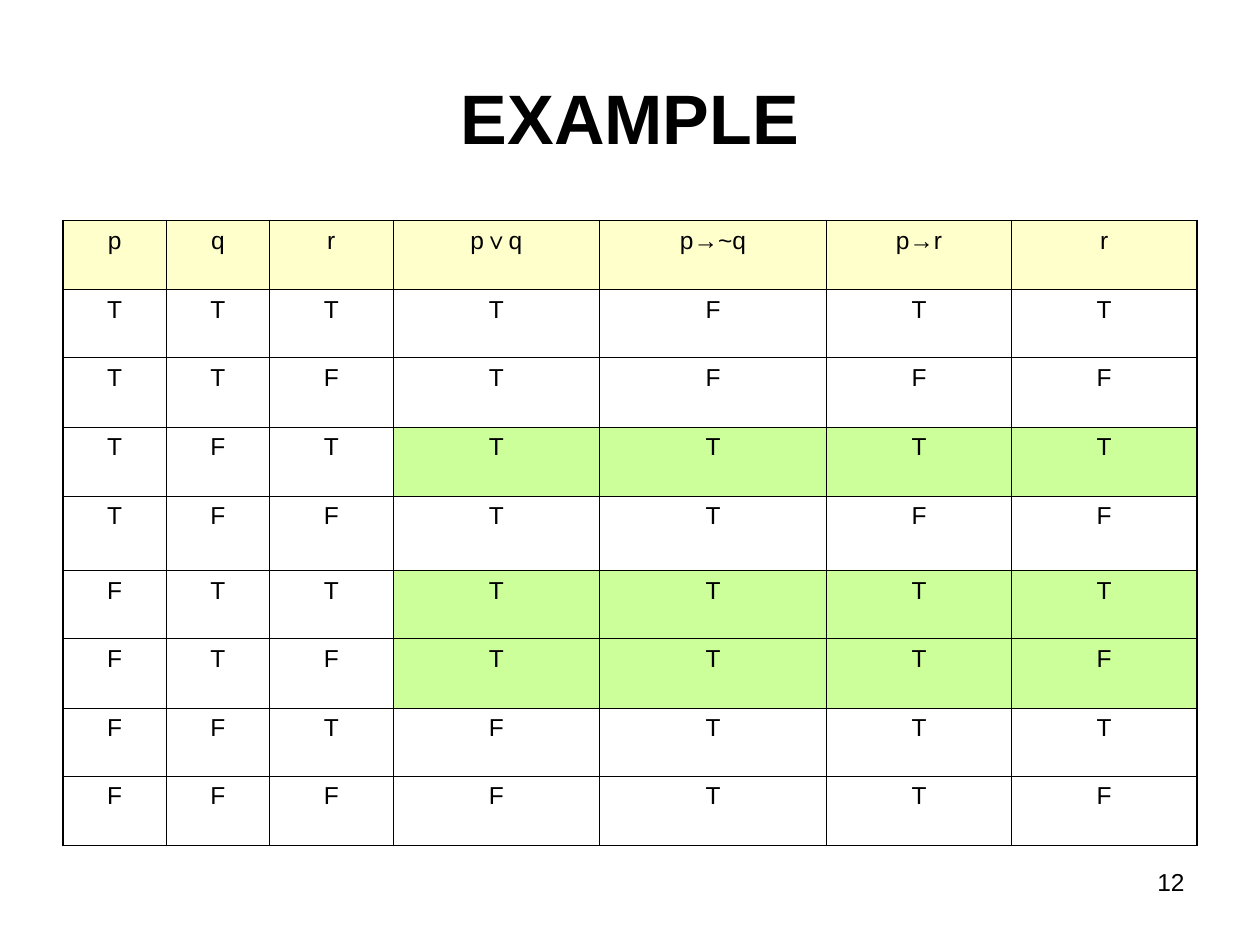
from itertools import product

from pptx import Presentation
from pptx import util as u
from pptx.dml.color import RGBColor
from pptx.enum import text
from pptx.oxml import parse_xml
from pptx.oxml.ns import nsdecls

BLACK, CREAM, GREEN = "000000", "FFFFCC", "CCFF99"
THIN, THICK = 0.45, 1.08
HEADS = ["p", "q", "r", "p∨q", "p→~q", "p→r", "r"]
COLS = [0.82, 0.82, 0.98, 1.64, 1.8, 1.47, 1.47]
ROWS = [0.55, 0.54, 0.55, 0.55, 0.59, 0.54, 0.55, 0.54, 0.55]


def color(code):
    return RGBColor.from_string(code)


def write(frame, words, size, align, bold=False):
    para = frame.paragraphs[0]
    para.alignment = align
    run = para.add_run()
    run.text = words
    font = run.font
    font.name, font.size, font.bold = "Arial", u.Pt(size), bold
    font.color.rgb = color(BLACK)


def place(shape, left, top, width, height):
    shape.left, shape.top = u.Inches(left), u.Inches(top)
    shape.width, shape.height = u.Inches(width), u.Inches(height)


def add_title(slide, words):
    title = slide.shapes.title
    place(title, 0.5, 0.3, 9, 1.25)
    title.text_frame.vertical_anchor = text.MSO_ANCHOR.MIDDLE
    write(title.text_frame, words, 40, text.PP_ALIGN.CENTER, True)


def add_number(slide, words):
    box = slide.shapes.add_textbox(*map(u.Inches, (7.17, 6.83, 2.33, 0.52)))
    box.text_frame.word_wrap = True
    write(box.text_frame, words, 14, text.PP_ALIGN.RIGHT)


def add_edge(cell, side, width):
    cell._tc.get_or_add_tcPr().append(parse_xml(
        f'<a:ln{side} {nsdecls("a")} w="{u.Pt(width)}"><a:solidFill>'
        f'<a:srgbClr val="{BLACK}"/></a:solidFill></a:ln{side}>'))


def truth_rows():
    """Yield each row's marks and whether all three premises hold."""
    for p, q, r in product((True, False), repeat=3):
        premises = [p or q, not p or not q, not p or r]
        marks = ["T" if value else "F" for value in [p, q, r, *premises, r]]
        yield marks, all(premises)


def add_truth(slide):
    rows = [(HEADS, False), *truth_rows()]
    last, end = len(rows) - 1, len(HEADS) - 1
    frame = slide.shapes.add_table(
        len(rows), len(HEADS), *map(u.Inches, (0.5, 1.75, 9, 4.95)))
    table = frame.table
    table.first_row = table.horz_banding = False
    for col, width in zip(table.columns, COLS):
        col.width = u.Inches(width)
    for row, height in zip(table.rows, ROWS):
        row.height = u.Inches(height)
    for i, (marks, valid) in enumerate(rows):
        for j, mark in enumerate(marks):
            cell = table.cell(i, j)
            write(cell.text_frame, mark, 14, text.PP_ALIGN.CENTER)
            outer = {"L": j == 0, "R": j == end, "T": i == 0, "B": i == last}
            for side, edge in outer.items():
                add_edge(cell, side, THICK if edge else THIN)
            tint = CREAM if i == 0 else GREEN if valid and j > 2 else None
            if tint:
                cell.fill.solid()
                cell.fill.fore_color.rgb = color(tint)
            else:
                cell.fill.background()


def main():
    deck = Presentation()
    deck.slide_width, deck.slide_height = u.Inches(10), u.Inches(7.5)
    slide = deck.slides.add_slide(deck.slide_layouts[5])
    add_number(slide, "12")
    add_title(slide, "EXAMPLE")
    add_truth(slide)
    deck.save("out.pptx")


if __name__ == "__main__":
    main()
